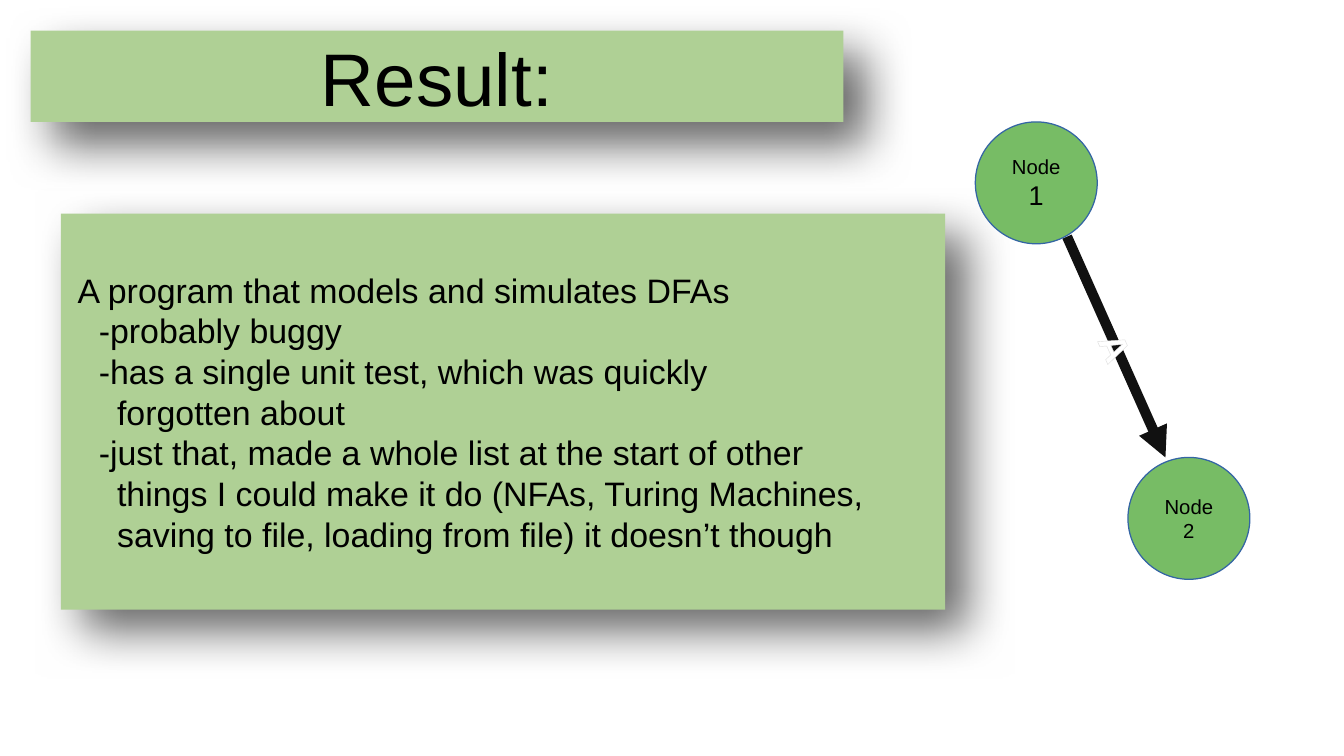
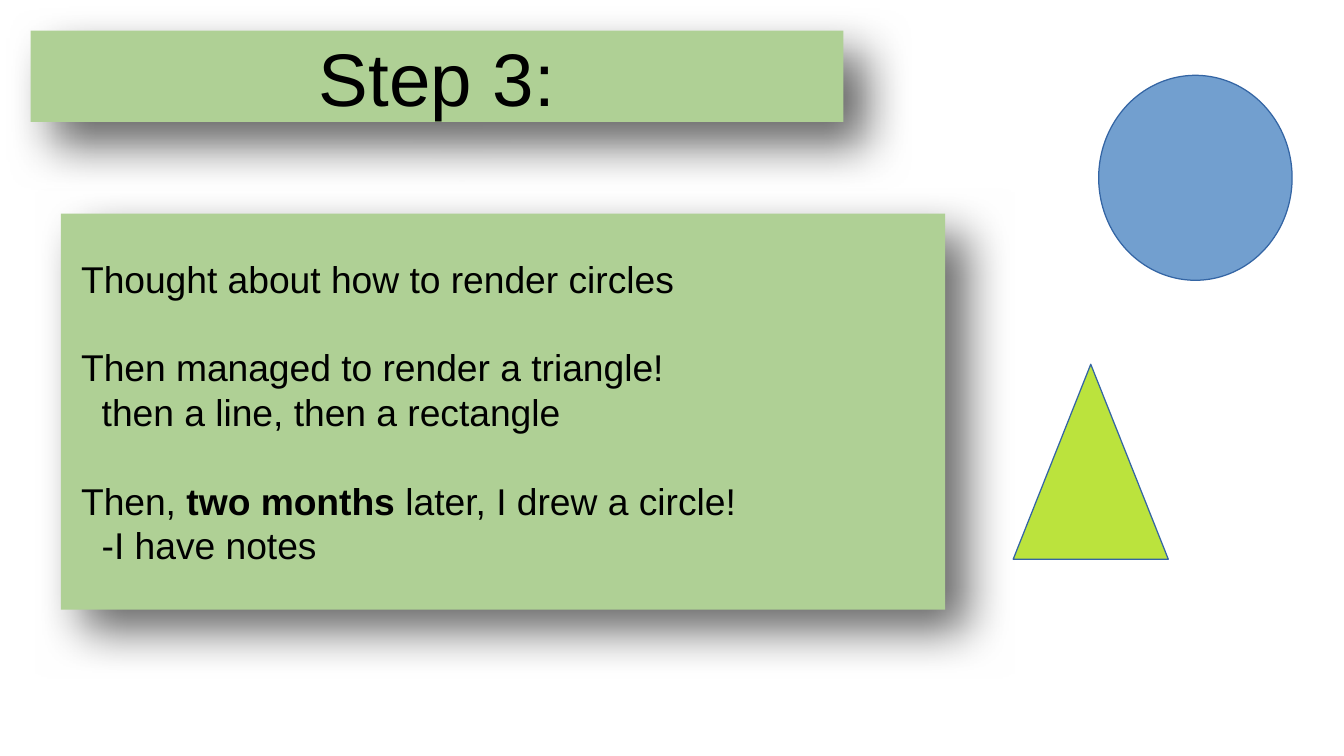
import math
from dataclasses import dataclass

from lxml import etree
from pptx import Presentation
from pptx import util as u
from pptx.dml.color import RGBColor
from pptx.enum import shapes, text
from pptx.oxml import parse_xml
from pptx.oxml.ns import nsdecls, qn


@dataclass(frozen=True)
class Theme:
    font: str = "Arial"
    ink: str = "000000"
    panel: str = "AFD095"
    node: str = "77BC65"
    outline: str = "3465A4"
    arrow: str = "111111"
    label: str = "FFFFFF"
    label_edge: str = "DDDDDD"
    circle: str = "729FCF"
    triangle: str = "BBE33D"
    title_size: int = 44
    label_size: int = 22
    node_size: int = 12
    arrow_width: int = 6


THEME = Theme()
SLIDE_SIZE = (28, 15.75)
TITLE_BOX = (0.64, 0.64, 16.93, 1.9)
BODY_BOX = (1.27, 4.45, 18.42, 8.25)
NODE_DIAMETER = 2.54
ARROW_START, ARROW_END = (22.23, 4.93), (24.28, 9.53)
LABEL_SIDE = 1.6

RESULT = {
    "title": "Result:",
    "size": 20,
    "levels": [(0.35, 0), (1.17, -0.38)],
    "paragraphs": [
        (0, 0, [["A program that models and simulates DFAs"]]),
        (1, 0, [["-probably buggy"]]),
        (1, 0, [["-has a single unit test, which was quickly"], ["forgotten about"]]),
        (1, 0, [
            ["-just that, made a whole list at the start of other"],
            ["things I could make it do (NFAs, Turing Machines,"],
            ["saving to file, loading from file) it doesn’t though"],
        ]),
    ],
}
STEP = {
    "title": "Step 3:",
    "size": 22,
    "levels": [(0.42, 0), (0.85, 0)],
    "paragraphs": [
        (0, 0, [["Thought about how to render circles"]]),
        (0, 26, [["Then managed to render a triangle!"]]),
        (1, 0, [["then a line, then a rectangle"]]),
        (0, 26, [["Then, ", ("two months ", True), "later, I drew a circle!"]]),
        (1, 0, [["-I have notes"]]),
    ],
}
FIRST_NODE = (20.32, 2.54, "1", 16)
SECOND_NODE = (23.5, 9.53, "2", 12)
DRAWN_SHAPES = [
    (shapes.MSO_SHAPE.OVAL, (22.89, 1.57, 4.03, 4.27), THEME.circle),
    (shapes.MSO_SHAPE.ISOSCELES_TRIANGLE, (21.11, 7.59, 3.23, 4.06), THEME.triangle),
]


def color(value):
    return RGBColor.from_string(value)


def lengths(values):
    return [u.Cm(value) for value in values]


def add_run(paragraph, content, size, ink=THEME.ink, bold=False):
    run = paragraph.add_run()
    run.text = content
    run.font.name = THEME.font
    run.font.size = u.Pt(size)
    run.font.bold = bold
    run.font.color.rgb = color(ink)
    return run


def set_frame(shape, horizontal=0, vertical=0):
    frame = shape.text_frame
    frame.word_wrap = True
    frame.vertical_anchor = text.MSO_ANCHOR.MIDDLE
    frame.margin_left = frame.margin_right = u.Cm(horizontal)
    frame.margin_top = frame.margin_bottom = u.Cm(vertical)
    return frame


def add_filled(slide, kind, box, fill, outlined=True):
    shape = slide.shapes.add_shape(kind, *lengths(box))
    shape.shadow.inherit = False
    shape.fill.solid()
    shape.fill.fore_color.rgb = color(fill)
    if outlined:
        shape.line.color.rgb = color(THEME.outline)
        shape.line.width = u.Pt(0)
    else:
        shape.line.fill.background()
    return shape


def add_panel(slide, box):
    panel = add_filled(slide, shapes.MSO_SHAPE.RECTANGLE, box, THEME.panel, False)
    effects = panel.element.spPr.find(qn("a:effectLst"))
    effects.append(parse_xml(
        f'<a:outerShdw {nsdecls("a")} blurRad="{u.Pt(28)}" dist="{u.Pt(18.3)}" '
        f'dir="2700000" algn="tl" rotWithShape="0"><a:srgbClr val="{THEME.ink}">'
        '<a:alpha val="60000"/></a:srgbClr></a:outerShdw>'
    ))
    return set_frame(panel)


def add_body(slide, content):
    frame = add_panel(slide, BODY_BOX)
    for index, (level, gap, lines) in enumerate(content["paragraphs"]):
        paragraph = frame.add_paragraph() if index else frame.paragraphs[0]
        paragraph.alignment = text.PP_ALIGN.LEFT
        paragraph.space_before = u.Pt(gap)
        margin, indent = lengths(content["levels"][level])
        properties = paragraph._p.get_or_add_pPr()
        properties.set("marL", str(margin))
        properties.set("indent", str(indent))
        for number, line in enumerate(lines):
            if number:
                paragraph.add_line_break()
            for part in line:
                words, bold = part if isinstance(part, tuple) else (part, False)
                add_run(paragraph, words, content["size"], bold=bold)


def add_content_slide(presentation, content):
    slide = presentation.slides.add_slide(presentation.slide_layouts[6])
    paragraph = add_panel(slide, TITLE_BOX).paragraphs[0]
    paragraph.alignment = text.PP_ALIGN.CENTER
    add_run(paragraph, content["title"], THEME.title_size)
    add_body(slide, content)
    return slide


def add_node(slide, left, top, number, number_size):
    box = (left, top, NODE_DIAMETER, NODE_DIAMETER)
    node = add_filled(slide, shapes.MSO_SHAPE.OVAL, box, THEME.node)
    paragraph = set_frame(node, 0.25, 0.13).paragraphs[0]
    paragraph.alignment = text.PP_ALIGN.CENTER
    add_run(paragraph, "Node", THEME.node_size)
    paragraph.add_line_break()
    add_run(paragraph, number, number_size)


def add_arrow(slide, label):
    arrow = slide.shapes.add_connector(
        shapes.MSO_CONNECTOR.STRAIGHT, *lengths(ARROW_START + ARROW_END)
    )
    arrow.line.color.rgb = color(THEME.arrow)
    arrow.line.width = u.Pt(THEME.arrow_width)
    line = arrow.line._get_or_add_ln()
    etree.SubElement(line, qn("a:tailEnd"), type="triangle")
    etree.SubElement(arrow.element.spPr, qn("a:effectLst"))

    (start_x, start_y), (end_x, end_y) = ARROW_START, ARROW_END
    left = (start_x + end_x - LABEL_SIDE) / 2
    top = (start_y + end_y - LABEL_SIDE) / 2
    box = slide.shapes.add_textbox(*lengths((left, top, LABEL_SIDE, LABEL_SIDE)))
    box.rotation = math.degrees(math.atan2(end_y - start_y, end_x - start_x))
    paragraph = set_frame(box).paragraphs[0]
    paragraph.alignment = text.PP_ALIGN.CENTER
    run = add_run(paragraph, label, THEME.label_size, THEME.label, True)
    run.font._element.insert(0, parse_xml(
        f'<a:ln {nsdecls("a")} w="{u.Pt(0.75)}"><a:solidFill>'
        f'<a:srgbClr val="{THEME.label_edge}"/></a:solidFill></a:ln>'
    ))


def main():
    presentation = Presentation()
    presentation.slide_width, presentation.slide_height = lengths(SLIDE_SIZE)
    result_slide = add_content_slide(presentation, RESULT)
    add_node(result_slide, *SECOND_NODE)
    add_arrow(result_slide, "A")
    add_node(result_slide, *FIRST_NODE)
    step_slide = add_content_slide(presentation, STEP)
    for kind, box, fill in DRAWN_SHAPES:
        add_filled(step_slide, kind, box, fill)
    presentation.save("out.pptx")


if __name__ == "__main__":
    main()
